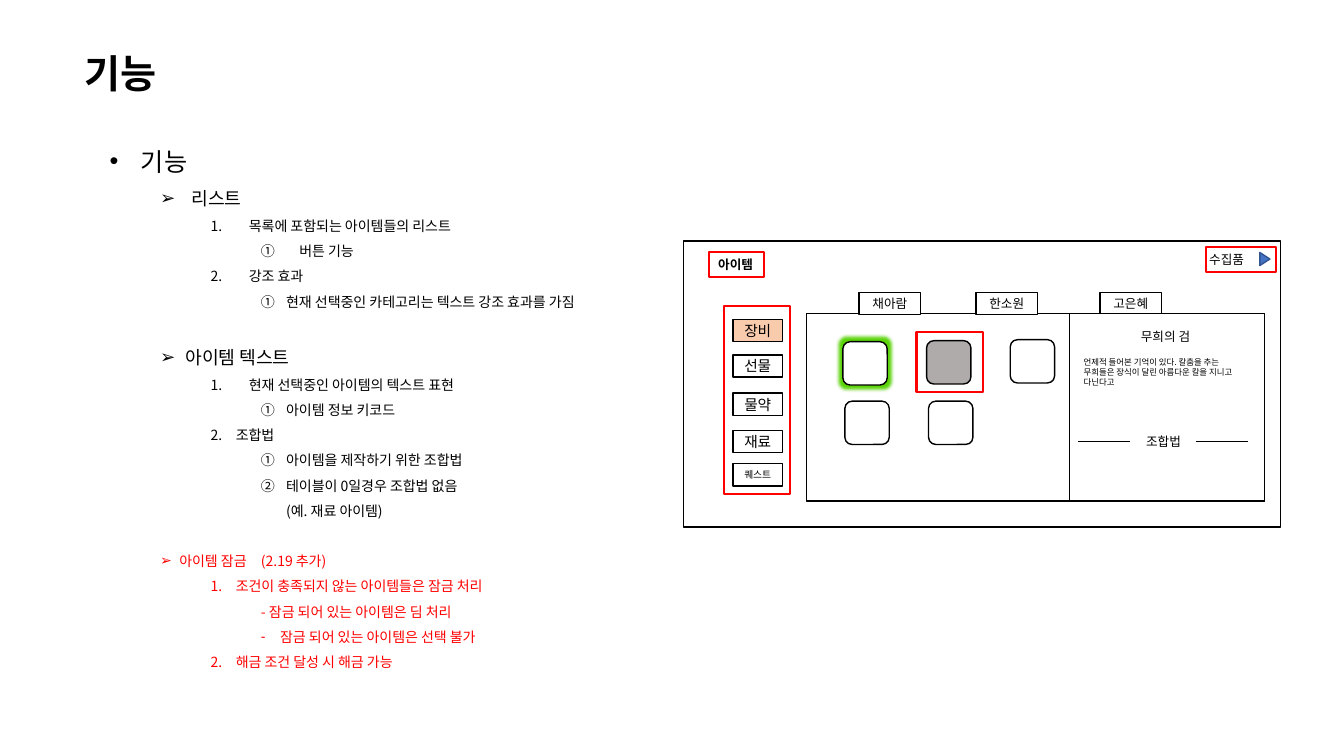
from lxml import etree
from pptx import Presentation
from pptx.dml.color import RGBColor
from pptx.enum.shapes import MSO_CONNECTOR, MSO_SHAPE
from pptx.enum.text import MSO_ANCHOR, PP_ALIGN
from pptx.oxml.ns import qn
from pptx.util import Inches, Pt

RECTANGLE = MSO_SHAPE.RECTANGLE
ROUNDED = MSO_SHAPE.ROUNDED_RECTANGLE
TRIANGLE = MSO_SHAPE.ISOSCELES_TRIANGLE
STRAIGHT = MSO_CONNECTOR.STRAIGHT
CENTER, LEFT = PP_ALIGN.CENTER, PP_ALIGN.LEFT
MIDDLE, TOP = MSO_ANCHOR.MIDDLE, MSO_ANCHOR.TOP

COLORS = {
    "black": "000000", "white": "FFFFFF", "red": "FF0000", "selected": "F8CBAD",
    "dimmed": "AFABAB", "arrow": "4472C4", "arrow_edge": "325491", "glow": "5BD40A",
}
KOREAN_FONT = "Noto Sans CJK KR"

# level, text indent, hanging, bullet, size, color, space before, lines
OUTLINE = [
    (0, 0.31, 0.31, "•", 18, "black", 0, ["기능"]),
    (1, 0.81, 0.31, "➢", 13, "black", 0, ["리스트"]),
    (2, 1.38, 0.38, "arabicPeriod", 10, "black", 0, ["목록에 포함되는 아이템들의 리스트"]),
    (3, 1.88, 0.38, "circleNumDbPlain", 10, "black", 0, ["버튼 기능"]),
    (2, 1.38, 0.38, "arabicPeriod", 10, "black", 0, ["강조 효과"]),
    (3, 1.75, 0.25, "circleNumDbPlain", 10, "black", 0,
     ["현재 선택중인 카테고리는 텍스트 강조 효과를 가짐"]),
    (1, 0.75, 0.25, "➢", 13, "black", 18, ["아이템 텍스트"]),
    (2, 1.38, 0.38, "arabicPeriod", 10, "black", 0, ["현재 선택중인 아이템의 텍스트 표현"]),
    (3, 1.75, 0.25, "circleNumDbPlain", 10, "black", 0, ["아이템 정보 키코드"]),
    (2, 1.25, 0.25, "arabicPeriod", 10, "black", 0, ["조합법"]),
    (3, 1.75, 0.25, "circleNumDbPlain", 10, "black", 0, ["아이템을 제작하기 위한 조합법"]),
    (3, 1.75, 0.25, "circleNumDbPlain", 10, "black", 0,
     ["테이블이 0일경우 조합법 없음", "(예. 재료 아이템)"]),
    (1, 0.69, 0.19, "➢", 10, "red", 18, ["아이템 잠금\t(2.19 추가)"]),
    (2, 1.25, 0.25, "arabicPeriod", 10, "red", 0, ["조건이 충족되지 않는 아이템들은 잠금 처리"]),
    (3, 1.5, 0, None, 10, "red", 0, ["- 잠금 되어 있는 아이템은 딤 처리"]),
    (3, 1.69, 0.19, "-", 10, "red", 0, ["잠금 되어 있는 아이템은 선택 불가"]),
    (2, 1.25, 0.25, "arabicPeriod", 10, "red", 0, ["해금 조건 달성 시 해금 가능"]),
]


def color(name):
    """Return the named palette color."""
    return RGBColor.from_string(COLORS[name])


def add_span(para, text, size, tint="black", bold=False, font=KOREAN_FONT):
    """Add one styled run to a paragraph."""
    span = para.add_run()
    span.text = text
    span.font.size, span.font.bold, span.font.name = Pt(size), bold, font
    span.font.color.rgb = color(tint)


def add_label(page, text, left, top, width, height, size, bold=False,
              align=CENTER, anchor=MIDDLE, inset=0, font=KOREAN_FONT):
    """Place a text box holding one paragraph."""
    box = page.shapes.add_textbox(*map(Inches, (left, top, width, height)))
    write_label(box, text, size, bold, align, anchor, inset, font)


def write_label(box, text, size, bold=False, align=CENTER, anchor=MIDDLE,
                inset=0, font=KOREAN_FONT):
    """Write one paragraph into a shape."""
    frame = box.text_frame
    frame.word_wrap, frame.vertical_anchor = True, anchor
    frame.margin_left = frame.margin_right = Inches(inset)
    frame.margin_top = frame.margin_bottom = Inches(inset / 2)
    para = frame.paragraphs[0]
    para.alignment, para.line_spacing = align, Pt(size * 1.2)
    add_span(para, text, size, bold=bold, font=font)


def add_panel(page, left, top, width, height, fill=None, line="black",
              weight=1, kind=RECTANGLE):
    """Place an outlined shape, filled when a fill is named."""
    shape = page.shapes.add_shape(kind, *map(Inches, (left, top, width, height)))
    shape.shadow.inherit = False
    if fill:
        shape.fill.solid()
        shape.fill.fore_color.rgb = color(fill)
    else:
        shape.fill.background()
    shape.line.color.rgb, shape.line.width = color(line), Pt(weight)
    return shape


def add_glow(shape, tint, radius):
    """Surround a shape with a soft glow."""
    effects = shape._element.spPr.find(qn("a:effectLst"))
    glow = etree.SubElement(effects, qn("a:glow"), rad=str(Pt(radius)))
    etree.SubElement(glow, qn("a:srgbClr"), val=COLORS[tint])


def add_rule(page, left, top, width):
    """Draw a thin horizontal line."""
    rule = page.shapes.add_connector(
        STRAIGHT, *map(Inches, (left, top, left + width, top)))
    rule.line.color.rgb, rule.line.width = color("black"), Pt(1)
    etree.SubElement(rule._element.spPr, qn("a:effectLst"))


def set_bullet(para, indent, hanging, bullet):
    """Set the indent and the bullet or numbering of a paragraph."""
    props = para._p.get_or_add_pPr()
    props.set("marL", str(Inches(indent)))
    props.set("indent", str(-Inches(hanging)))
    if bullet is None:
        etree.SubElement(props, qn("a:buNone"))
    elif len(bullet) > 1:
        etree.SubElement(props, qn("a:buAutoNum"), type=bullet)
    else:
        etree.SubElement(props, qn("a:buFont"), typeface="Arial")
        etree.SubElement(props, qn("a:buChar"), char=bullet)


def add_outline(page, left, top, width, height):
    """Write the multilevel feature list."""
    box = page.shapes.add_textbox(*map(Inches, (left, top, width, height)))
    frame = box.text_frame
    frame.word_wrap = True
    for index, (level, indent, hanging, bullet, size, tint, before, lines) in enumerate(OUTLINE):
        para = frame.add_paragraph() if index else frame.paragraphs[0]
        para.level = level
        set_bullet(para, indent, hanging, bullet)
        para.line_spacing = Pt(size * 1.8)
        if before:
            para.space_before = Pt(before)
        for number, text in enumerate(lines):
            if number:
                para.add_line_break()
            add_span(para, text, size, tint)


def add_categories(page, left, top):
    """Stack the category buttons, the first one selected."""
    buttons = [("장비", 0), ("선물", 0.35), ("물약", 0.73), ("재료", 1.1), ("퀘스트", 1.43)]
    for name, offset in buttons:
        button = add_panel(page, left, top + offset, 0.49, 0.22,
                           "white" if offset else "selected")
        write_label(button, name, 10.5 if len(name) == 2 else 7)


def add_inventory(page, left, top):
    """Draw the item pane with its character tabs and item slots."""
    add_panel(page, left, top, 4.54, 1.86)
    for name, offset in [("채아람", 0.52), ("한소원", 1.68), ("고은혜", 2.91)]:
        tab = add_panel(page, left + offset, top - 0.21, 0.61, 0.22, "white")
        write_label(tab, name, 9)
    slots = [(0.36, 0.28, "white"), (1.19, 0.27, "dimmed"), (2.02, 0.26, "white"),
             (0.38, 0.87, "white"), (1.21, 0.87, "white")]
    for index, (across, down, fill) in enumerate(slots):
        slot = add_panel(page, left + across, top + down, 0.44, 0.43, fill, kind=ROUNDED)
        if index == 0:
            add_glow(slot, "glow", 5)


def add_detail(page, left, top):
    """Draw the item description and recipe pane."""
    add_panel(page, left, top, 1.93, 1.86, "white")
    add_label(page, "무희의 검", left + 0.55, top + 0.1, 0.8, 0.25, 9)
    add_label(page, "언제적 들어본 기억이 있다. 칼춤을 추는 무희들은 장식이 달린 아름다운 칼을 지니고 다닌다고",
              left + 0.04, top + 0.38, 1.83, 0.4, 6, align=LEFT, anchor=TOP, inset=0.1)
    add_label(page, "조합법", left + 0.63, top + 1.14, 0.6, 0.25, 9)
    for offset in (0.08, 1.25):
        add_rule(page, left + offset, top + 1.27, 0.52)


def add_screen(page, left, top):
    """Draw the item screen mock-up with its red callout frames."""
    add_panel(page, left, top, 5.92, 2.84)
    add_label(page, "아이템", left + 0.21, top + 0.11, 0.61, 0.25, 9, bold=True)
    add_label(page, "수집품", left + 5.08, top + 0.06, 0.61, 0.25, 9)
    add_categories(page, left + 0.49, top + 0.78)
    add_inventory(page, left + 1.22, top + 0.72)
    arrow = add_panel(page, left + 5.7, top + 0.13, 0.13, 0.1, "arrow", "arrow_edge",
                      kind=TRIANGLE)
    arrow.rotation = 90
    add_detail(page, left + 3.83, top + 0.72)
    for across, down, width, height in [(0.25, 0.11, 0.55, 0.25), (5.18, 0.06, 0.7, 0.25),
                                        (0.4, 0.65, 0.66, 1.86), (2.31, 0.9, 0.66, 0.6)]:
        add_panel(page, left + across, top + down, width, height, line="red", weight=1.5)


def main():
    """Build and save the deck."""
    deck = Presentation()
    deck.slide_width, deck.slide_height = Inches(13.33), Inches(7.5)
    page = deck.slides.add_slide(deck.slide_layouts[6])
    add_label(page, "기능", 0.74, 0.44, 2.73, 0.57, 28, bold=True, align=LEFT,
              anchor=TOP, inset=0.1, font="Calibri")
    add_outline(page, 0.99, 1.25, 5.24, 5.45)
    add_screen(page, 6.78, 2.39)
    deck.save("out.pptx")


if __name__ == "__main__":
    main()
